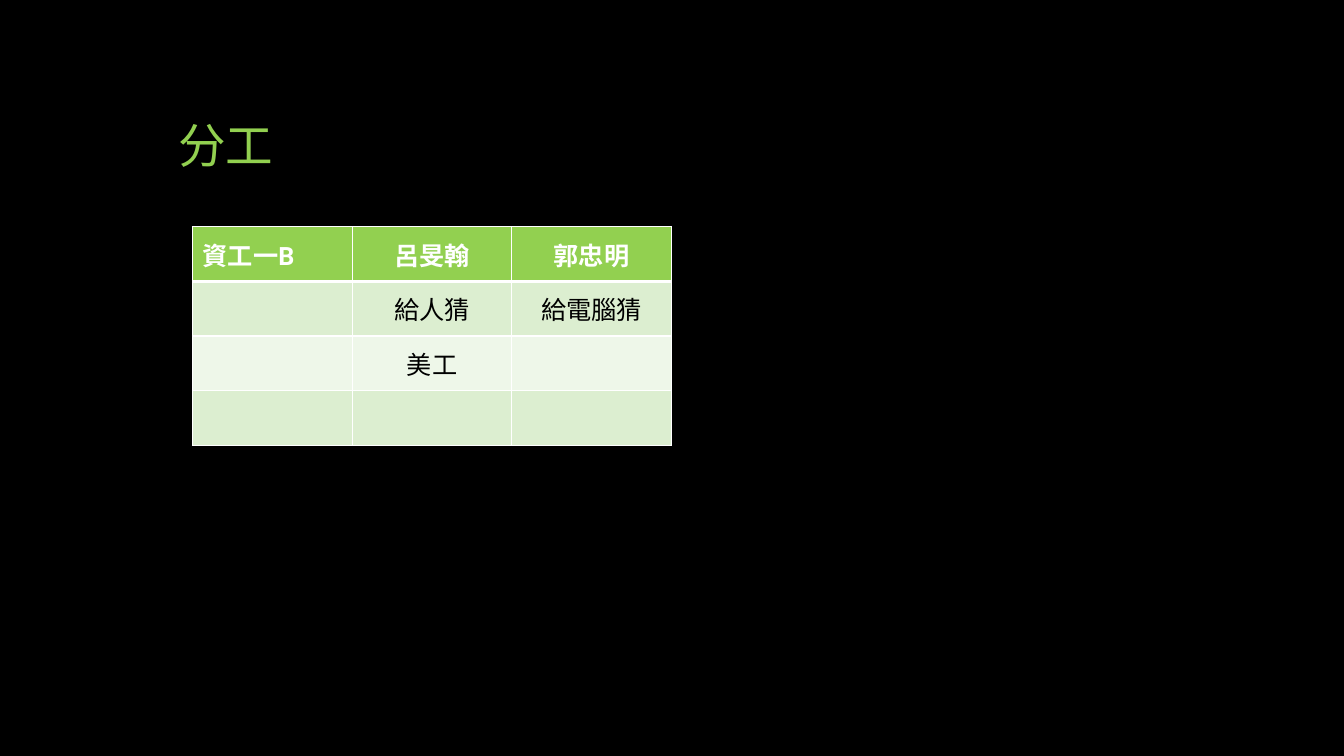
from lxml.etree import SubElement
from pptx import Presentation
from pptx.dml.color import RGBColor
from pptx.enum.text import MSO_ANCHOR, PP_ALIGN
from pptx.oxml.ns import qn
from pptx.util import Inches, Pt

# Content
TITLE = "分工"
ROWS = [
    ["資工一B", "呂旻翰", "郭忠明"],
    ["", "給人猜", "給電腦猜"],
    ["", "美工", ""],
    ["", "", ""],
]

# Style
FONT = "Roboto"
BLACK = RGBColor(0x00, 0x00, 0x00)
WHITE = RGBColor(0xFF, 0xFF, 0xFF)
GREEN = RGBColor(0x92, 0xD0, 0x50)
BANDS = [RGBColor(0xEE, 0xF7, 0xE9), RGBColor(0xDC, 0xEE, 0xD0)]

# Grid, in inches
TABLE_LEFT, TABLE_TOP = 1.91, 2.25
TABLE_WIDTH, TABLE_HEIGHT = 4.75, 2.17


def write(tf, text, size=18, color=BLACK, bold=False, align=PP_ALIGN.LEFT, spacing=None):
    p = tf.paragraphs[0]
    p.alignment = align
    p.line_spacing = spacing
    r = p.add_run()
    r.text = text
    r.font.name = FONT
    r.font.size = Pt(size)
    r.font.bold = bold
    r.font.color.rgb = color


def add_borders(cell, **widths):
    tc_pr = cell._tc.get_or_add_tcPr()
    for i, side in enumerate("LRTB"):
        ln = SubElement(tc_pr, qn(f"a:ln{side}"), w=str(Pt(widths.get(side, 1))))
        fill = SubElement(ln, qn("a:solidFill"))
        SubElement(fill, qn("a:srgbClr"), val=str(WHITE))
        tc_pr.insert(i, ln)


prs = Presentation()
prs.slide_width, prs.slide_height = Inches(13.33), Inches(7.5)
slide = prs.slides.add_slide(prs.slide_layouts[6])
slide.background.fill.solid()
slide.background.fill.fore_color.rgb = BLACK

# Title
tf = slide.shapes.add_textbox(Inches(1.67), Inches(0.52), Inches(10), Inches(1.25)).text_frame
tf.word_wrap = True
tf.vertical_anchor = MSO_ANCHOR.BOTTOM
write(tf, TITLE, size=34, color=GREEN, spacing=0.9)

# Division of work table
table = slide.shapes.add_table(
    len(ROWS), len(ROWS[0]), Inches(TABLE_LEFT), Inches(TABLE_TOP),
    Inches(TABLE_WIDTH), Inches(TABLE_HEIGHT)).table
for i, row in enumerate(ROWS):
    header = i == 0
    for j, text in enumerate(row):
        cell = table.cell(i, j)
        cell.vertical_anchor = MSO_ANCHOR.MIDDLE
        cell.fill.solid()
        cell.fill.fore_color.rgb = GREEN if header else BANDS[i % 2]
        add_borders(cell, T=3 if i == 1 else 1, B=3 if header else 1)
        if text:
            write(cell.text_frame, text, bold=header,
                  color=WHITE if header else BLACK,
                  align=PP_ALIGN.CENTER if j else PP_ALIGN.LEFT)

prs.save("out.pptx")
